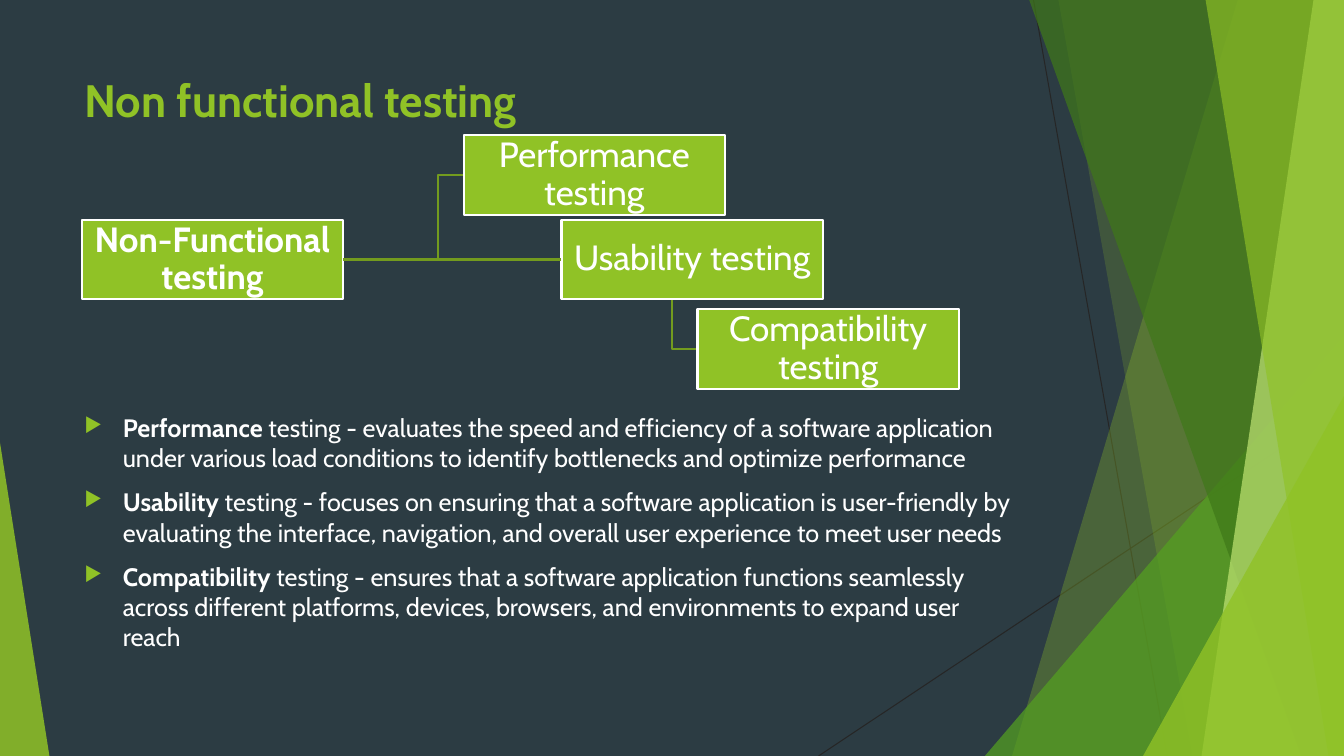
from lxml.etree import SubElement
from pptx import Presentation
from pptx.dml.color import RGBColor
from pptx.enum.shapes import MSO_CONNECTOR, MSO_SHAPE
from pptx.enum.text import MSO_ANCHOR, PP_ALIGN
from pptx.oxml.ns import qn
from pptx.util import Inches, Pt

DARK = RGBColor(0x2C, 0x3C, 0x43)
INK = RGBColor(0x26, 0x26, 0x26)
LIME = RGBColor(0x90, 0xC2, 0x26)
GRASS = RGBColor(0x54, 0xA0, 0x21)
FOREST = RGBColor(0x3F, 0x78, 0x19)
PALE = RGBColor(0xC0, 0xE4, 0x74)
OLIVE = RGBColor(0x73, 0x9B, 0x1E)
WHITE = RGBColor(0xFF, 0xFF, 0xFF)
FONT = "Cabin"

TITLE = "Non functional testing"
ROOT = ("Non-Functional testing", 6.08, 29.07)
BRANCHES = [
    ("Performance testing", 34.5, 17.87),
    ("Usability testing", 41.78, 29.07),
    ("Compatibility testing", 51.9, 40.93),
]
BOX_WIDTH, BOX_HEIGHT, ELBOW_GAP = 19.43, 10.53, 1.9
DEFINITIONS = [
    ("Performance", " testing - evaluates the speed and efficiency of a software application "
     "under various load conditions to identify bottlenecks and optimize performance"),
    ("Usability", " testing - focuses on ensuring that a software application is user-friendly "
     "by evaluating the interface, navigation, and overall user experience to meet user needs"),
    ("Compatibility", " testing - ensures that a software application functions seamlessly "
     "across different platforms, devices, browsers, and environments to expand user reach"),
]
THIN_LINES = [(76.9, 0, 86.85, 100), (100, 53.73, 60.9, 100)]
FACETS = [
    ("band", 92.1, 75.3, LIME, 30),
    ("band", 78.75, 88.73, LIME, 20),
    ("right", 73.28, 44.4, GRASS, 72),
    ("band", 76.58, 96.83, FOREST, 70),
    ("band", 97.73, 89.4, PALE, 70),
    ("band", 89.7, 98.85, LIME, 65),
    ("right", 85.05, 52.4, LIME, 80),
    ("left", 3.68, 58.53, LIME, 85),
]

deck = Presentation()
deck.slide_width, deck.slide_height = Inches(13.33), Inches(7.5)
page = deck.slides.add_slide(deck.slide_layouts[6])
page.background.fill.solid()
page.background.fill.fore_color.rgb = DARK
shapes = page.shapes


def across(percent):
    return round(deck.slide_width * percent / 100)


def down(percent):
    return round(deck.slide_height * percent / 100)


def place(left, top, width, height):
    return across(left), down(top), across(width), down(height)


def add_outline(points, close):
    corners = [(across(x), down(y)) for x, y in points]
    builder = shapes.build_freeform(*corners[0], scale=1.0)
    builder.add_line_segments(corners[1:], close=close)
    shape = builder.convert_to_shape()
    shape.shadow.inherit = False
    return shape


def add_line(x1, y1, x2, y2, color, weight):
    line = shapes.add_connector(MSO_CONNECTOR.STRAIGHT, across(x1), down(y1), across(x2), down(y2))
    line.line.color.rgb = color
    line.line.width = Pt(weight)
    SubElement(line._element.spPr, qn("a:effectLst"))
    return line


def add_facet(kind, first, second, color, opacity):
    if kind == "band":
        facet = add_outline([(first, 0), (100, 0), (100, 100), (second, 100)], True)
    else:
        left, width = (first, 100 - first) if kind == "right" else (0, first)
        facet = shapes.add_shape(MSO_SHAPE.ISOSCELES_TRIANGLE,
                                 *place(left, second, width, 100 - second))
        facet.adjustments[0] = 1 if kind == "right" else 0
        facet.shadow.inherit = False
    facet.fill.solid()
    facet.fill.fore_color.rgb = color
    facet.line.fill.background()
    tint = facet._element.spPr.find(qn("a:solidFill"))[0]
    SubElement(tint, qn("a:alpha"), val=str(opacity * 1000))


def style(span, size, color, bold):
    span.font.name = FONT
    span.font.size = Pt(size)
    span.font.color.rgb = color
    span.font.bold = bold


def add_box(label, left, top, bold=False):
    box = shapes.add_shape(MSO_SHAPE.RECTANGLE, *place(left, top, BOX_WIDTH, BOX_HEIGHT))
    box.shadow.inherit = False
    box.fill.solid()
    box.fill.fore_color.rgb = LIME
    box.line.color.rgb = WHITE
    box.line.width = Pt(1.5)
    frame = box.text_frame
    frame.word_wrap = True
    frame.vertical_anchor = MSO_ANCHOR.MIDDLE
    frame.margin_left = frame.margin_right = frame.margin_top = frame.margin_bottom = Inches(0.02)
    frame.text = label
    para = frame.paragraphs[0]
    para.alignment = PP_ALIGN.CENTER
    para.line_spacing = 0.9
    style(para.runs[0], 25, WHITE, bold)
    return box


def add_text(left, top, width, height):
    frame = shapes.add_textbox(*place(left, top, width, height)).text_frame
    frame.word_wrap = True
    return frame


def add_bullet(para):
    props = para._p.get_or_add_pPr()
    props.set("marL", str(Inches(0.38)))
    props.set("indent", str(-Inches(0.38)))
    SubElement(SubElement(props, qn("a:buClr")), qn("a:srgbClr"), val=str(LIME))
    SubElement(props, qn("a:buSzPct"), val="80000")
    SubElement(props, qn("a:buChar"), char="▶")


for ends in THIN_LINES:
    add_line(*ends, INK, 0.75)
for facet_spec in FACETS:
    add_facet(*facet_spec)

title = add_text(5.55, 8.93, 70.5, 9.87)
title.text = TITLE
style(title.paragraphs[0].runs[0], 32.4, LIME, True)

body = add_text(5.55, 53.87, 70.5, 41.6)
for index, (term, meaning) in enumerate(DEFINITIONS):
    para = body.paragraphs[0] if index == 0 else body.add_paragraph()
    para.space_before = Pt(10)
    add_bullet(para)
    for words, bold in ((term, True), (meaning, False)):
        span = para.add_run()
        span.text = words
        style(span, 18, WHITE, bold)

root_right = ROOT[1] + BOX_WIDTH
root_middle = ROOT[2] + BOX_HEIGHT / 2
for label, left, top in BRANCHES:
    if top != ROOT[2]:
        bend, middle = left - ELBOW_GAP, top + BOX_HEIGHT / 2
        elbow = add_outline([(root_right, root_middle), (bend, root_middle),
                             (bend, middle), (left, middle)], False)
        elbow.fill.background()
        elbow.line.color.rgb = OLIVE
        elbow.line.width = Pt(1.5)

root_box = add_box(*ROOT, bold=True)
for label, left, top in BRANCHES:
    branch_box = add_box(label, left, top)
    if top == ROOT[2]:
        link = add_line(root_right, root_middle, left, root_middle, OLIVE, 1.5)
        link.begin_connect(root_box, 3)
        link.end_connect(branch_box, 1)

deck.save("out.pptx")
